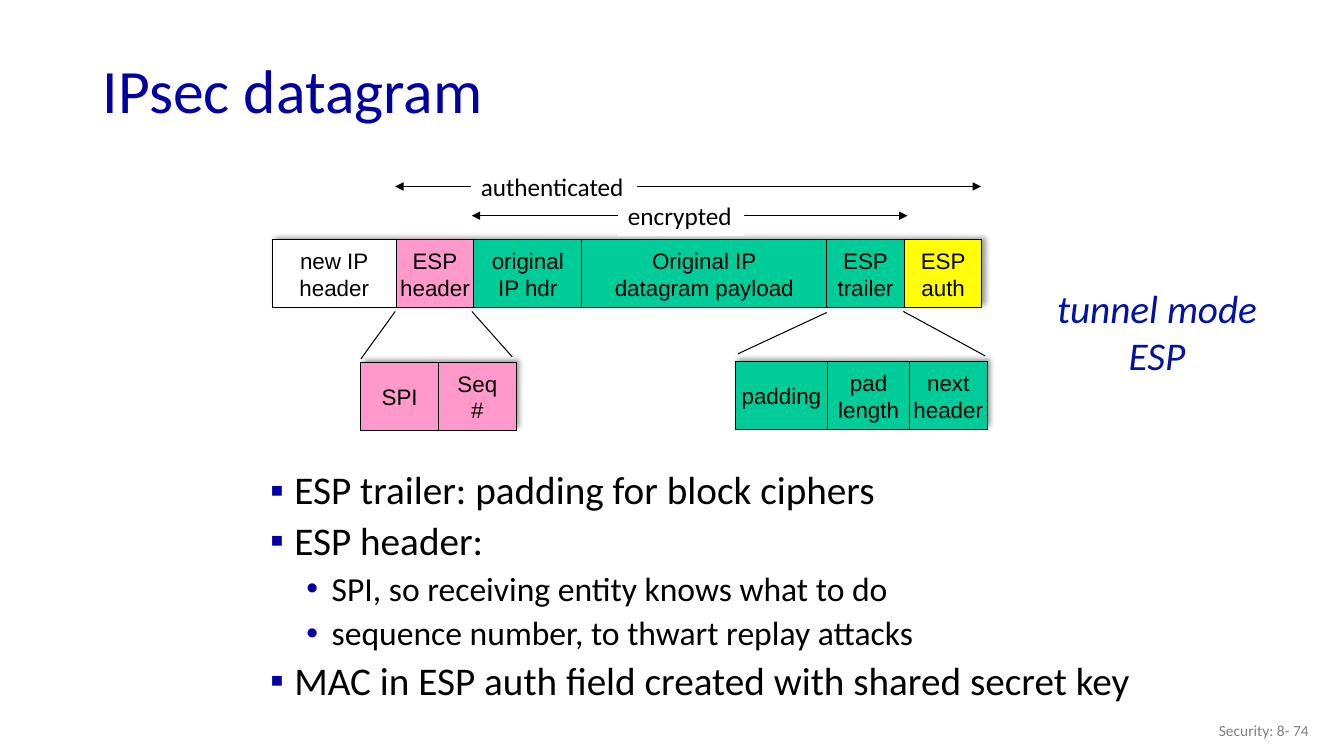
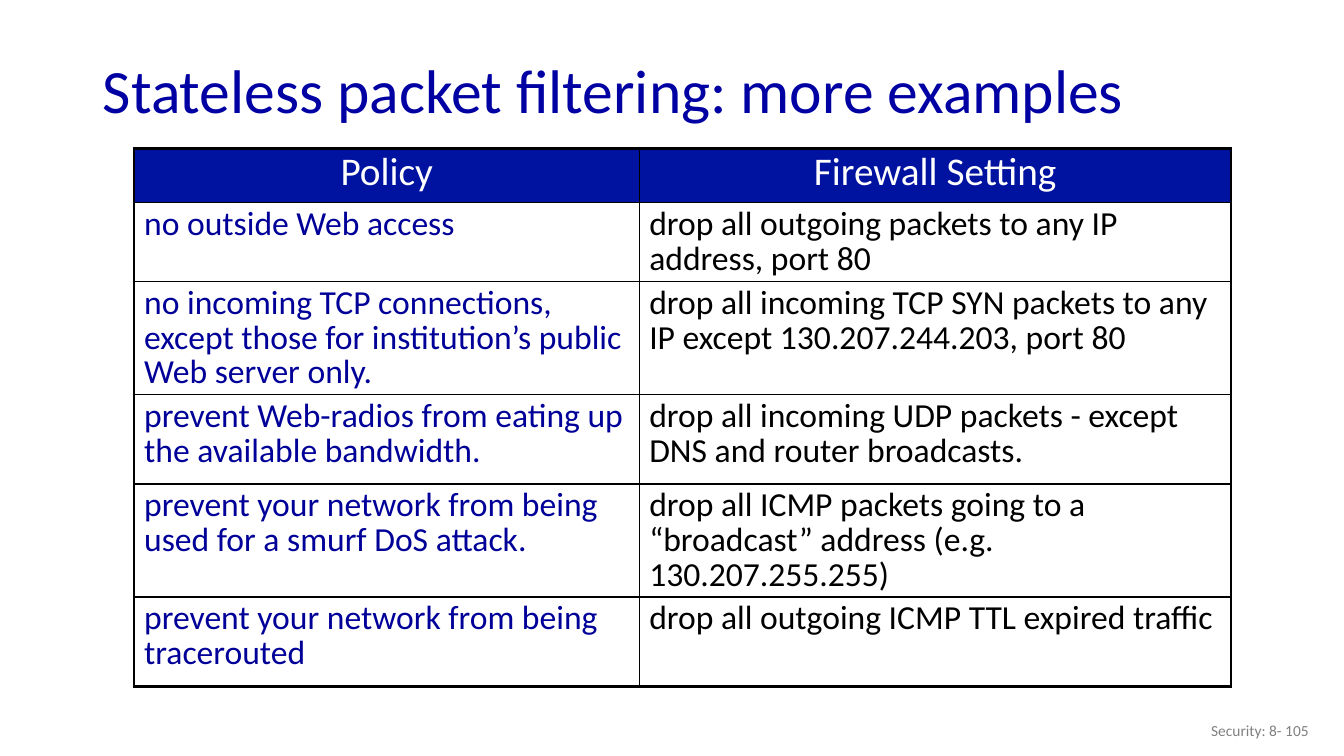
from lxml import etree
from pptx import Presentation
from pptx import util as u
from pptx.dml import color
from pptx.enum import shapes, text
from pptx.oxml import ns

# Colours
NAVY = color.RGBColor(0x00, 0x00, 0xA3)
DEEP = color.RGBColor(0x00, 0x12, 0xA0)
INK = color.RGBColor(0x00, 0x00, 0x99)
BLACK = color.RGBColor(0, 0, 0)
WHITE = color.RGBColor(0xFF, 0xFF, 0xFF)
GREY = color.RGBColor(0x80, 0x80, 0x80)
PINK = color.RGBColor(0xFF, 0x99, 0xCC)
GREEN = color.RGBColor(0x00, 0xCC, 0x99)
YELLOW = color.RGBColor(0xFF, 0xFF, 0x00)

LEFT, MID, RIGHT = text.PP_ALIGN.LEFT, text.PP_ALIGN.CENTER, text.PP_ALIGN.RIGHT
CENTRE = text.MSO_ANCHOR.MIDDLE


def sub(node, tag, **attrs):
    """Append a drawing element to a node."""
    return etree.SubElement(node, ns.qn("a:" + tag), attrs)


def box(left, top, width, height):
    return [u.Inches(n) for n in (left, top, width, height)]


class Deck:
    FACE, PLAIN = "Calibri", "Arial"
    BULLETS = [("▪", 28, 0.39, -0.24), ("•", 24, 0.76, -0.25)]

    def __init__(self):
        self.prs = Presentation()
        self.prs.slide_width = u.Inches(13.33)
        self.prs.slide_height = u.Inches(7.5)
        self.slide = None

    def style(self, para, size, ink, face=FACE, align=LEFT, space=None):
        para.alignment = align
        if space:
            para.line_spacing = space
        for run in para.runs:
            font = run.font
            font.name, font.size, font.bold = face, u.Pt(size), False
            font.color.rgb = ink

    def put(self, frame, words, size, ink, **look):
        frame.text = words
        for para in frame.paragraphs:
            self.style(para, size, ink, **look)

    def start(self, layout, title, page):
        """New slide with its title and footer."""
        self.slide = self.prs.slides.add_slide(self.prs.slide_layouts[layout])
        head = self.slide.shapes.title
        head.left, head.top, head.width, head.height = box(0.92, 0.44, 11.5, 0.98)
        frame = head.text_frame
        frame.auto_size = text.MSO_AUTO_SIZE.NONE
        frame.vertical_anchor = CENTRE
        self.put(frame, title, 44, NAVY, space=0.9)
        foot = self.label(f"Security: 8- {page}", (10.08, 7.05, 3, 0.4), 11, GREY,
                          align=RIGHT)
        foot.text_frame.word_wrap = True
        foot.text_frame.vertical_anchor = CENTRE

    def label(self, words, place, size, ink, fill=None, align=LEFT):
        item = self.slide.shapes.add_textbox(*box(*place))
        item.text_frame.word_wrap = False
        if fill is not None:
            item.fill.solid()
            item.fill.fore_color.rgb = fill
        self.put(item.text_frame, words, size, ink, align=align)
        return item

    def rect(self, place, fill):
        item = self.slide.shapes.add_shape(shapes.MSO_SHAPE.RECTANGLE, *box(*place))
        item.shadow.inherit = False
        item.fill.solid()
        item.fill.fore_color.rgb = fill
        item.line.fill.background()
        return item

    def packet(self, left, top, fields, height=0.67):
        """Adjoining fields on a backing that casts the shadow."""
        back = self.rect((left, top, sum(f[1] for f in fields), height), WHITE)
        glow = sub(back._element.spPr.find(ns.qn("a:effectLst")), "outerShdw",
                   blurRad=str(u.Pt(4)), dist=str(u.Pt(3)), dir="18900000",
                   algn="ctr", rotWithShape="0")
        sub(sub(glow, "srgbClr", val=str(BLACK)), "alpha", val="40000")
        for words, width, fill in fields:
            item = self.rect((left, top, width, height), fill)
            item.line.color.rgb = BLACK
            item.line.width = u.Pt(0.75)
            frame = item.text_frame
            frame.word_wrap = False
            frame.vertical_anchor = CENTRE
            self.put(frame, words, 16, BLACK, face=self.PLAIN, align=MID)
            left += width

    def line(self, ends, width=0.75, arrows=False):
        item = self.slide.shapes.add_connector(
            shapes.MSO_CONNECTOR.STRAIGHT, *box(*ends))
        item.line.color.rgb = BLACK
        item.line.width = u.Pt(width)
        props = item._element.spPr
        if arrows:
            for tag in ("headEnd", "tailEnd"):
                sub(props.find(ns.qn("a:ln")), tag, type="triangle")
        sub(props, "effectLst")

    def span(self, left, right, y, words, start, width):
        """Double arrow with a label that interrupts it."""
        self.line((left, y, right, y), 1, True)
        self.label(words, (start, y - 0.2, width, 0.4), 18, BLACK, WHITE)

    def bullets(self, place, items):
        body = self.slide.placeholders[1]
        body.left, body.top, body.width, body.height = box(*place)
        frame = body.text_frame
        frame.auto_size = text.MSO_AUTO_SIZE.NONE
        frame.text = "\n".join(words for level, words in items)
        for para, (level, words) in zip(frame.paragraphs, items):
            mark, size, left, hang = self.BULLETS[level]
            para.level = level
            self.style(para, size, BLACK, space=0.9)
            para.space_before = u.Pt(6)
            props = para._p.get_or_add_pPr()
            props.set("marL", str(u.Inches(left)))
            props.set("indent", str(u.Inches(hang)))
            sub(sub(props, "buClr"), "srgbClr", val=str(NAVY))
            sub(props, "buFont", typeface=self.PLAIN)
            sub(props, "buChar", char=mark)

    def border(self, cell, sides):
        props = cell._tc.get_or_add_tcPr()
        for side, outer in zip("LRTB", sides):
            edge = sub(props, "ln" + side, w=str(u.Pt(2.25 if outer else 1)))
            sub(sub(edge, "solidFill"), "srgbClr", val=str(BLACK))

    def table(self, place, cols, rows, data):
        grid = self.slide.shapes.add_table(len(rows), len(cols), *box(*place)).table
        grid.first_row = grid.horz_banding = False
        for col, width in zip(grid.columns, cols):
            col.width = u.Inches(width)
        for row, height in zip(grid.rows, rows):
            row.height = u.Inches(height)
        for r, record in enumerate(data):
            for c, words in enumerate(record):
                cell = grid.cell(r, c)
                self.border(cell, (c == 0, c == len(cols) - 1,
                                   r == 0, r == len(rows) - 1))
                if r == 0:
                    cell.fill.solid()
                    cell.fill.fore_color.rgb = DEEP
                    size, ink, align = 28, WHITE, MID
                else:
                    cell.fill.background()
                    size, ink, align = 24, (INK, BLACK)[c], LEFT
                self.put(cell.text_frame, words, size, ink, align=align, space=0.85)


def ipsec(deck):
    deck.start(1, "IPsec datagram", 74)

    # Datagram and its two enlarged fields
    deck.packet(2.7, 2.38, [
        ("new IP\nheader", 1.23, WHITE),
        ("ESP\nheader", 0.77, PINK),
        ("original\nIP hdr", 1.07, GREEN),
        ("Original IP\ndatagram payload", 2.43, GREEN),
        ("ESP\ntrailer", 0.77, GREEN),
        ("ESP\nauth", 0.77, YELLOW),
    ])
    deck.packet(3.58, 3.6, [("SPI", 0.77, PINK), ("Seq\n#", 0.77, PINK)])
    deck.packet(7.29, 3.59, [
        ("padding", 0.92, GREEN),
        ("pad\nlength", 0.81, GREEN),
        ("next\nheader", 0.77, GREEN),
    ])

    # Zoom lines
    for ends in [(3.58, 3.56, 3.92, 3.09), (4.68, 3.09, 5.08, 3.54),
                 (7.32, 3.51, 8.2, 3.1), (9.77, 3.53, 8.96, 3.09)]:
        deck.line(ends)

    # Protected ranges
    deck.span(4.68, 9, 2.14, "encrypted", 6.13, 1.25)
    deck.span(3.92, 9.73, 1.85, "authenticated", 4.67, 1.65)

    # Mode and notes on the fields
    mode = deck.label("tunnel mode\nESP", (10.37, 2.77, 2.21, 1.04), 28, DEEP, align=MID)
    for para in mode.text_frame.paragraphs:
        para.runs[0].font.italic = True
    deck.bullets((2.43, 4.62, 10.8, 2.59), [
        (0, "ESP trailer: padding for block ciphers"),
        (0, "ESP header:"),
        (1, "SPI, so receiving entity knows what to do"),
        (1, "sequence number, to thwart replay attacks"),
        (0, "MAC in ESP auth field created with shared secret key"),
    ])


def filters(deck):
    deck.start(5, "Stateless packet filtering: more examples", 105)
    deck.table((1.33, 1.47, 10.88, 5.17), [5.01, 5.87],
               [0.54, 0.75, 1.1, 0.89, 1, 0.89], [
        ("Policy", "Firewall Setting"),
        ("no outside Web access",
         "drop all outgoing packets to any IP address, port 80"),
        ("no incoming TCP connections, except those for institution’s public "
         "Web server only.",
         "drop all incoming TCP SYN packets to any IP except 130.207.244.203, port 80"),
        ("prevent Web-radios from eating up the available bandwidth.",
         "drop all incoming UDP packets - except DNS and router broadcasts."),
        ("prevent your network from being used for a smurf DoS attack.",
         "drop all ICMP packets going to a “broadcast” address (e.g. 130.207.255.255)"),
        ("prevent your network from being tracerouted",
         "drop all outgoing ICMP TTL expired traffic"),
    ])


def main():
    deck = Deck()
    ipsec(deck)
    filters(deck)
    deck.prs.save("out.pptx")


if __name__ == "__main__":
    main()
